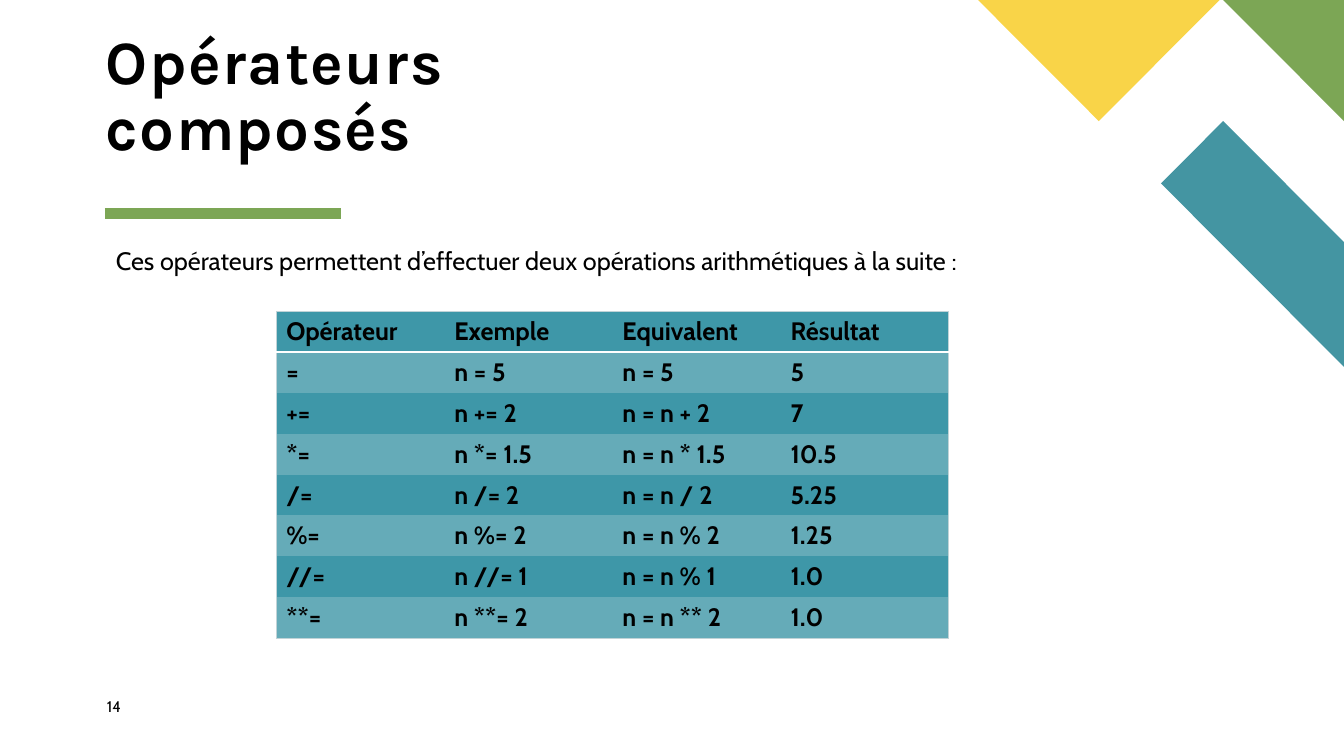
from dataclasses import dataclass
from lxml.etree import SubElement
from pptx import Presentation
from pptx.dml.color import RGBColor
from pptx.enum.shapes import MSO_CONNECTOR
from pptx.enum.text import MSO_ANCHOR, MSO_AUTO_SIZE, PP_ALIGN
from pptx.oxml import parse_xml
from pptx.oxml.ns import nsdecls, qn
from pptx.util import Inches, Pt


@dataclass(frozen=True)
class Theme:
    head: str = "Karla"
    body: str = "Cabin"
    ink: str = "000000"
    white: str = "FFFFFF"
    green: str = "7CA655"
    gold: str = "F9D448"
    teal: str = "4495A2"
    dark: str = "3E97A8"
    light: str = "65ABB8"
    edge: str = "C1D3D7"
    title: int = 44
    text: int = 18
    small: int = 11


@dataclass(frozen=True)
class Box:
    left: int
    top: int
    width: int
    height: int

    def point(self, x, y):
        """Point at shares x, y of this box."""
        return int(self.left + x * self.width), int(self.top + y * self.height)

    def inner(self, x, y, w, h):
        """Inner box, given in percent of this box."""
        return Box(*self.point(x / 100, y / 100),
                   int(w / 100 * self.width), int(h / 100 * self.height))

    def frame(self):
        return self.left, self.top, self.width, self.height


THEME = Theme()
NO_STYLE = "{2D5ABB26-0587-4C30-8999-92F81FD0307C}"
ROWS = [
    ("Opérateur", "Exemple", "Equivalent", "Résultat"),
    ("=", "n = 5", "n = 5", "5"),
    ("+=", "n += 2", "n = n + 2", "7"),
    ("*=", "n *= 1.5", "n = n * 1.5", "10.5"),
    ("/=", "n /= 2", "n = n / 2", "5.25"),
    ("%=", "n %= 2", "n = n % 2", "1.25"),
    ("//=", "n //= 1", "n = n % 1", "1.0"),
    ("**=", "n **= 2", "n = n ** 2", "1.0"),
]


def color(code):
    return RGBColor.from_string(code)


def write(frame, text, size, face=THEME.body, bold=False):
    frame.text = text
    para = frame.paragraphs[0]
    font = para.runs[0].font
    font.name, font.size, font.bold = face, Pt(size), bold
    font.color.rgb = color(THEME.ink)
    return para


def clear(frame):
    frame.margin_left = frame.margin_right = 0
    frame.margin_top = frame.margin_bottom = 0


# Coloured shapes in the top right corner
def add_corner(slide, box):
    shapes = [
        (THEME.teal, [(1, 1), (1, .66), (.67, .33), (.5, .5)]),
        (THEME.green, [(1, .33), (1, 0), (.67, 0)]),
        (THEME.gold, [(0, 0), (.33, .33), (.66, 0)]),
    ]
    for fill, points in shapes:
        first, *rest = [box.point(*point) for point in points]
        pen = slide.shapes.build_freeform(*first)
        pen.add_line_segments(rest, close=True)
        shape = pen.convert_to_shape()
        shape.shadow.inherit = False
        shape.fill.solid()
        shape.fill.fore_color.rgb = color(fill)
        shape.line.fill.background()


# Green rule under the title
def add_rule(slide, box):
    rule = slide.shapes.add_connector(
        MSO_CONNECTOR.STRAIGHT, *box.point(0, 0), *box.point(1, 0))
    rule.line.color.rgb = color(THEME.green)
    rule.line.width = Pt(8)
    SubElement(rule._element.spPr, qn("a:effectLst"))


def add_title(slide, box, text):
    title = slide.shapes.title
    title.left, title.top, title.width, title.height = box.frame()
    frame = title.text_frame
    clear(frame)
    frame.word_wrap = True
    frame.auto_size = MSO_AUTO_SIZE.NONE
    frame.vertical_anchor = MSO_ANCHOR.BOTTOM
    para = write(frame, text, THEME.title, THEME.head, True)
    para.alignment = PP_ALIGN.LEFT
    para.line_spacing = 0.9
    para.runs[0]._r.get_or_add_rPr().set("spc", "100")


def add_text(slide, box, text, size, inset=True):
    frame = slide.shapes.add_textbox(*box.frame()).text_frame
    frame.word_wrap = True
    if not inset:
        clear(frame)
    write(frame, text, size)


def add_edges(cell, edges):
    props = cell._tc.get_or_add_tcPr()
    for spot, (side, (code, width)) in enumerate(edges):
        props.insert(spot, parse_xml(
            f'<a:ln{side} {nsdecls("a")} w="{Pt(width)}"><a:solidFill>'
            f'<a:srgbClr val="{code}"/></a:solidFill></a:ln{side}>'))


# Banded table with a thin outer frame
def add_grid(slide, box, rows):
    high, wide = len(rows), len(rows[0])
    table = slide.shapes.add_table(high, wide, *box.frame()).table
    table._tbl.tblPr.find(qn("a:tableStyleId")).text = NO_STYLE
    thin, thick = (THEME.edge, 0.5), (THEME.white, 1.5)
    for r, row in enumerate(rows):
        for c, text in enumerate(row):
            cell = table.cell(r, c)
            write(cell.text_frame, text, THEME.text, bold=True)
            cell.fill.solid()
            cell.fill.fore_color.rgb = color(
                THEME.light if r % 2 else THEME.dark)
            rules = [
                (c == 0, "L", thin), (c == wide - 1, "R", thin),
                (r == 0, "T", thin), (r == 0, "B", thick),
                (r == high - 1, "B", thin),
            ]
            add_edges(cell, [(side, pen) for on, side, pen in rules if on])


def add_page(deck, page):
    slide = deck.slides.add_slide(deck.slide_layouts[5])
    add_rule(slide, page.inner(7.8, 28.27, 17.55, 0))
    add_corner(slide, page.inner(72.77, 0, 27.23, 48.53))
    add_title(slide, page.inner(7.88, 12.8, 46.06, 8.93), "Opérateurs composés")
    add_text(slide, page.inner(7.95, 92.27, 4.28, 3.6), "14", THEME.small, False)
    add_text(slide, page.inner(7.88, 31.73, 65.57, 5.33),
             "Ces opérateurs permettent d’effectuer deux opérations "
             "arithmétiques à la suite :", THEME.text)
    add_grid(slide, page.inner(20.55, 41.2, 50.04, 43.2), ROWS)


deck = Presentation()
deck.slide_width, deck.slide_height = Inches(13.33), Inches(7.5)
add_page(deck, Box(0, 0, deck.slide_width, deck.slide_height))
deck.save("out.pptx")
